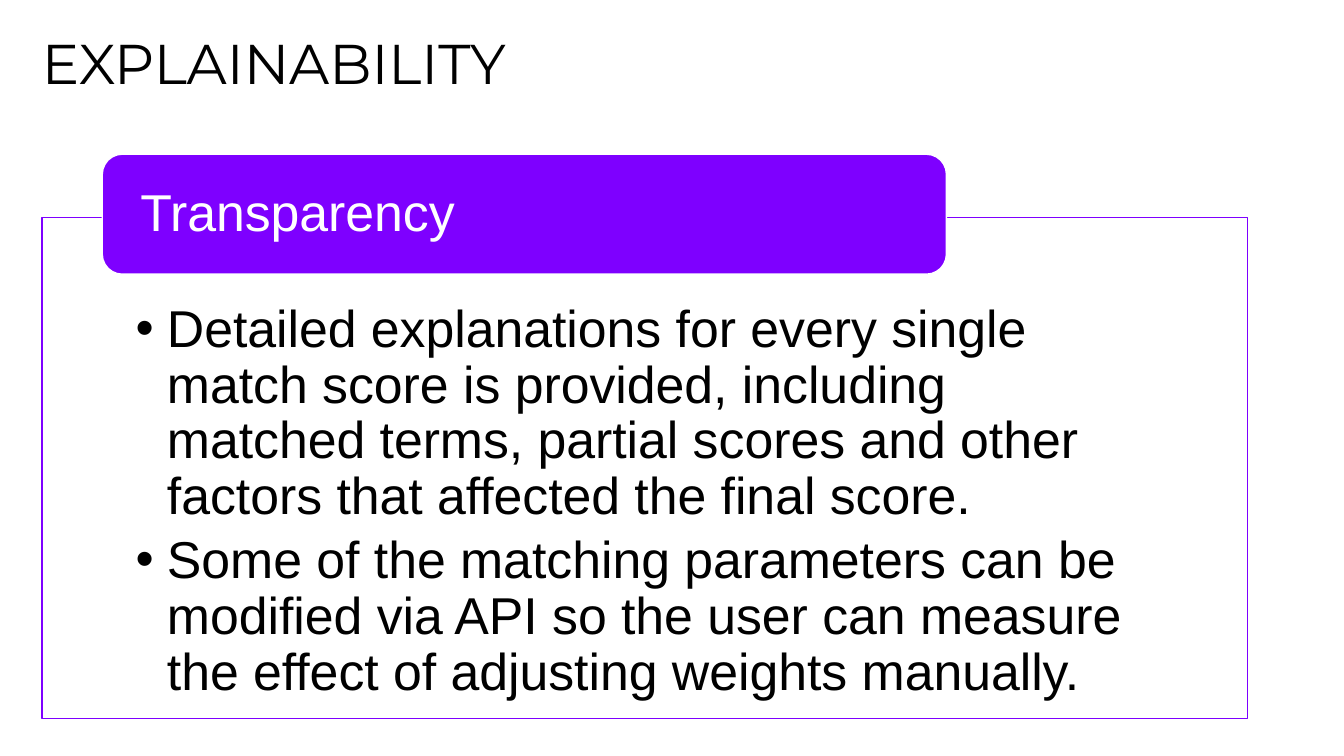
from lxml.etree import SubElement
from pptx import Presentation
from pptx.dml.color import RGBColor
from pptx.enum.shapes import MSO_SHAPE
from pptx.enum.text import MSO_ANCHOR, PP_ALIGN
from pptx.oxml.ns import qn
from pptx.util import Inches, Pt

COLORS = {"text": "000000", "paper": "FFFFFF", "accent": "7E00FF"}
POINTS = [
    "Detailed explanations for every single match score is provided, including "
    "matched terms, partial scores and other factors that affected the final score.",
    "Some of the matching parameters can be modified via API so the user can "
    "measure the effect of adjusting weights manually.",
]
WIDTH, HEIGHT = 13.33, 7.5
MARGIN = WIDTH / 32
TEXT_SIZE = 37


def set_frame(box, left, top, right, bottom, anchor):
    frame = box.text_frame
    frame.word_wrap = True
    frame.vertical_anchor = anchor
    frame.margin_left, frame.margin_top = Inches(left), Inches(top)
    frame.margin_right, frame.margin_bottom = Inches(right), Inches(bottom)
    return frame


def add_span(para, text, font, size, color, line_spacing, space_after=0):
    para.alignment = PP_ALIGN.LEFT
    para.line_spacing = line_spacing
    para.space_before = Pt(0)
    para.space_after = Pt(space_after)
    span = para.add_run()
    span.text = text
    span.font.name = font
    span.font.size = Pt(size)
    span.font.color.rgb = RGBColor.from_string(COLORS[color])


deck = Presentation()
deck.slide_width, deck.slide_height = Inches(WIDTH), Inches(HEIGHT)
page = deck.slides.add_slide(deck.slide_layouts[6])

# Title
title = page.shapes.add_textbox(
    Inches(MARGIN), Inches(MARGIN), Inches(WIDTH - 2 * MARGIN), Inches(HEIGHT * 0.144))
frame = set_frame(title, 0, 0.05, 0, 0, MSO_ANCHOR.TOP)
add_span(frame.paragraphs[0], "EXPLAINABILITY", "Montserrat", 40, "text", 0.7)

# Panel and its heading tab, placed as shares of the panel
panel_top, panel_width, panel_height = 2.16, 11.96, 4.97
tab_left = MARGIN + panel_width * 0.05
parts = []
for kind, left, top, width, height, fill, line in [
    (MSO_SHAPE.RECTANGLE, MARGIN, panel_top, panel_width, panel_height, "paper", "accent"),
    (MSO_SHAPE.ROUNDED_RECTANGLE, tab_left, 1.53, panel_width * 0.7, 1.19, "accent", "paper"),
]:
    box = page.shapes.add_shape(kind, Inches(left), Inches(top), Inches(width), Inches(height))
    box.shadow.inherit = False
    box.fill.solid()
    box.fill.fore_color.rgb = RGBColor.from_string(COLORS[fill])
    box.line.color.rgb = RGBColor.from_string(COLORS[line])
    box.line.width = Pt(1)
    parts.append(box)
panel, tab = parts

# Panel fill at 90% opacity
panel_color = panel.fill._xPr.find(qn("a:solidFill"))[0]
SubElement(panel_color, qn("a:alpha"), val="90000")

# Bulleted points inside the panel
frame = set_frame(panel, 0.93, 0.84, 0.93, 0.29, MSO_ANCHOR.TOP)
for index, point in enumerate(POINTS):
    para = frame.add_paragraph() if index else frame.paragraphs[0]
    properties = para._p.get_or_add_pPr()
    properties.set("marL", str(Inches(0.31)))
    properties.set("indent", str(-Inches(0.31)))
    SubElement(properties, qn("a:buFont"), typeface="Arial")
    SubElement(properties, qn("a:buChar"), char="•")
    add_span(para, point, "Arial", TEXT_SIZE, "text", 0.9, TEXT_SIZE * 0.15)

# Heading on the tab
frame = set_frame(tab, 0.32, 0, 0.32, 0, MSO_ANCHOR.MIDDLE)
add_span(frame.paragraphs[0], "Transparency", "Arial", TEXT_SIZE, "paper", 0.9)

deck.save("out.pptx")
